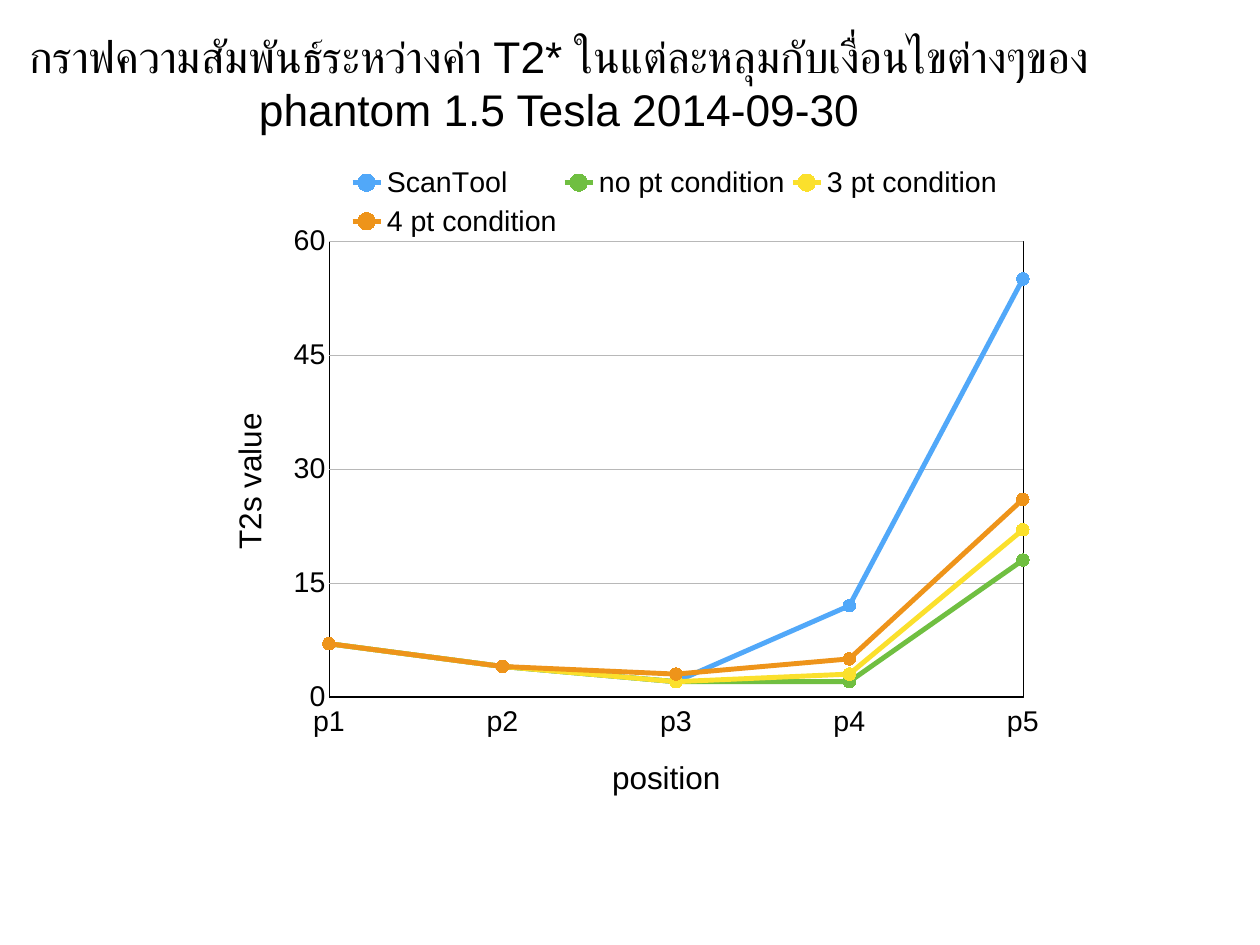
from lxml.etree import SubElement
from pptx import Presentation
from pptx.chart.data import CategoryChartData
from pptx.dml.color import RGBColor as RGB
from pptx.enum.chart import (XL_CHART_TYPE as CHART, XL_LEGEND_POSITION as LEGEND,
                             XL_MARKER_STYLE as MARKER, XL_TICK_LABEL_POSITION as LABELS,
                             XL_TICK_MARK as TICK)
from pptx.enum.text import MSO_ANCHOR as ANCHOR, MSO_AUTO_SIZE as FIT, PP_ALIGN as ALIGN
from pptx.oxml.ns import qn
from pptx.util import Pt

PX = 10320
CHART_W, CHART_H = 820, 647
FONT = "Arial"
COLORS = {
    "text": "000000",
    "grid": "B8B8B8",
    "ScanTool": "51A8F9",
    "no pt condition": "70BF41",
    "3 pt condition": "FBE02C",
    "4 pt condition": "EE941A",
}
POSITIONS = ["p1", "p2", "p3", "p4", "p5"]
T2S_VALUES = {
    "ScanTool": [7, 4, 2, 12, 55],
    "no pt condition": [7, 4, 2, 2, 18],
    "3 pt condition": [7, 4, 2, 3, 22],
    "4 pt condition": [7, 4, 3, 5, 26],
}
TITLE = ("กราฟความสัมพันธ์ระหว่างค่า T2* ในแต่ละหลุมกับเงื่อนไขต่างๆของ "
         "phantom 1.5 Tesla 2014-09-30")


def px(*lengths):
    """Turn pixel lengths into EMU."""
    return [n * PX for n in lengths]


def style_font(font, size):
    """Set typeface, size and text colour."""
    font.name, font.size, font.bold = FONT, Pt(size), False
    font.color.rgb = RGB.from_string(COLORS["text"])


def style_line(line, color, width):
    """Set a solid line."""
    line.color.rgb = RGB.from_string(COLORS[color])
    line.width = Pt(width)


def set_layout(parent, index, target, x, y, w, h):
    """Place a chart part by pixels within the chart area."""
    for old in parent.findall(qn("c:layout")):
        parent.remove(old)
    layout = SubElement(parent, qn("c:layout"))
    parent.insert(index, layout)
    manual = SubElement(layout, qn("c:manualLayout"))
    if target:
        SubElement(manual, qn("c:layoutTarget")).set("val", target)
    for side in "xy":
        SubElement(manual, qn(f"c:{side}Mode")).set("val", "edge")
    fractions = {"x": x / CHART_W, "y": y / CHART_H, "w": w / CHART_W, "h": h / CHART_H}
    for side, value in fractions.items():
        SubElement(manual, qn(f"c:{side}")).set("val", f"{value:.4f}")


def add_title(slide, text):
    """Add the centred heading."""
    tf = slide.shapes.add_textbox(*px(23, 21, 1072, 123)).text_frame
    tf.text = text
    tf.word_wrap, tf.auto_size = True, FIT.SHAPE_TO_FIT_TEXT
    tf.vertical_anchor = ANCHOR.MIDDLE
    tf.margin_left, tf.margin_top, tf.margin_right, tf.margin_bottom = px(5, 5, 5, 5)
    p = tf.paragraphs[0]
    p.alignment = ALIGN.CENTER
    style_font(p.runs[0].font, 36)


def style_axis(axis, title):
    """Label an axis and drop its tick marks."""
    axis.has_title = True
    tf = axis.axis_title.text_frame
    tf.text = title
    style_font(tf.paragraphs[0].runs[0].font, 25.6)
    style_font(axis.tick_labels.font, 23.2)
    axis.major_tick_mark = axis.minor_tick_mark = TICK.NONE
    return tf


def style_value_axis(axis):
    """Scale the value axis and start the lines on its edge."""
    tf = style_axis(axis, "T2s value")
    tf._txBody.find(qn("a:bodyPr")).set("rot", "-5400000")
    axis.minimum_scale, axis.maximum_scale = 0, 60
    axis.format.line.fill.background()
    style_line(axis.major_gridlines.format.line, "grid", 0.25)
    el = axis._element
    for old in el.findall(qn("c:crossBetween")):
        el.remove(old)
    between = SubElement(el, qn("c:crossBetween"))
    between.set("val", "midCat")
    el.find(qn("c:crosses")).addnext(between)
    axis.major_unit = 15


def style_series(s):
    """Draw a series as a straight line with round markers."""
    s.smooth = False
    style_line(s.format.line, s.name, 4)
    s.marker.style, s.marker.size = MARKER.CIRCLE, 10
    s.marker.format.fill.solid()
    s.marker.format.fill.fore_color.rgb = RGB.from_string(COLORS[s.name])
    s.marker.format.line.fill.background()


def frame_plot(plot_area):
    """Outline the plot area."""
    sp_pr = SubElement(plot_area, qn("c:spPr"))
    SubElement(sp_pr, qn("a:noFill"))
    ln = SubElement(sp_pr, qn("a:ln"), w=str(Pt(0.25)))
    fill = SubElement(ln, qn("a:solidFill"))
    SubElement(fill, qn("a:srgbClr"), val=COLORS["text"])


def add_line_chart(slide):
    """Add the T2s line chart with its legend."""
    data = CategoryChartData()
    data.categories = POSITIONS
    for name, values in T2S_VALUES.items():
        data.add_series(name, values)
    box = px(220, 160, CHART_W, CHART_H)
    chart = slide.shapes.add_chart(CHART.LINE_MARKERS, *box, data).chart
    style_font(chart.font, 10)
    chart.has_title = False
    chart.plots[0].vary_by_categories = False
    for s in chart.plots[0].series:
        style_series(s)

    style_axis(chart.category_axis, "position")
    chart.category_axis.tick_label_position = LABELS.LOW
    style_line(chart.category_axis.format.line, "text", 1)
    style_value_axis(chart.value_axis)

    chart.has_legend = True
    legend = chart.legend
    legend.position, legend.include_in_layout = LEGEND.TOP, True
    style_font(legend.font, 23.2)
    set_layout(legend._element, 1, None, 125, 0, 660, 84)

    plot_area = chart._chartSpace.find(qn("c:chart")).find(qn("c:plotArea"))
    set_layout(plot_area, 0, "inner", 109, 81, 694, 456)
    frame_plot(plot_area)


def main():
    """Build and save the slide."""
    prs = Presentation()
    prs.slide_width, prs.slide_height = px(1260, 945)
    slide = prs.slides.add_slide(prs.slide_layouts[6])
    add_line_chart(slide)
    add_title(slide, TITLE)
    prs.save("out.pptx")


if __name__ == "__main__":
    main()
